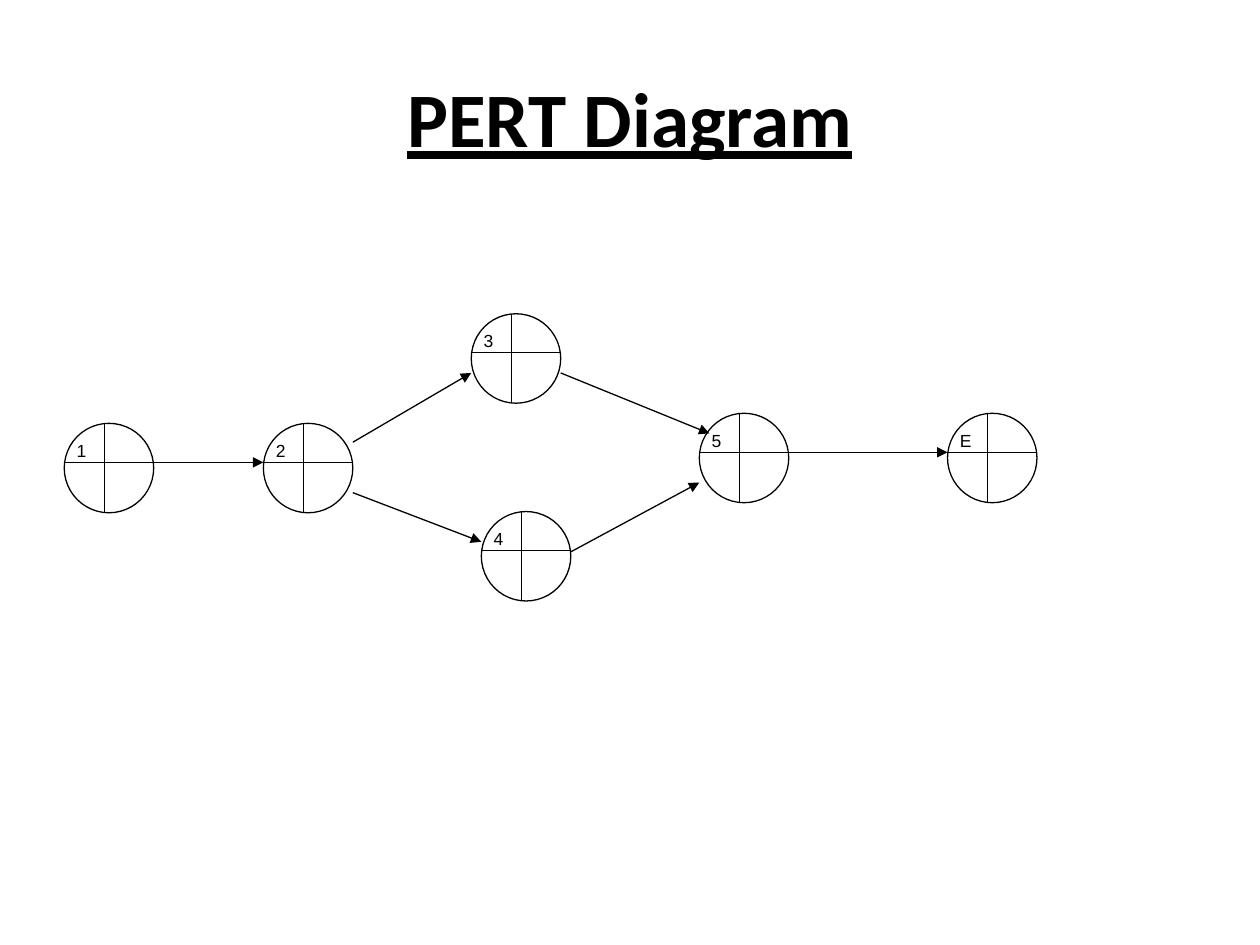
from typing import NamedTuple

from lxml.etree import SubElement
from pptx import Presentation
from pptx.dml.color import RGBColor
from pptx.enum.shapes import MSO_CONNECTOR, MSO_SHAPE
from pptx.enum.text import MSO_ANCHOR, MSO_AUTO_SIZE, PP_ALIGN
from pptx.oxml.ns import qn
from pptx.shapes.connector import Connector
from pptx.slide import Slide
from pptx.text.text import Font
from pptx.util import Emu, Pt

PX_PER_INCH = 100
BLACK = "000000"
LINE_WIDTH = Pt(0.75)
DIAMETER = 71
CROSS_X, CROSS_Y = 32, 31
LABEL_TOP, LABEL_WIDTH, LABEL_HEIGHT = 8, 32, 27


class Node(NamedTuple):
    label: str
    left: int
    top: int
    has_crossbar: bool = True


class Arrow(NamedTuple):
    start: tuple[int, int]
    end: tuple[int, int]


NODES = [
    Node("1", 51, 336, has_crossbar=False),  # the first arrow crosses it
    Node("2", 209, 336),
    Node("3", 374, 249),
    Node("4", 382, 406),
    Node("5", 555, 328),
    Node("E", 752, 328),
]
ARROWS = [
    Arrow((51, 367), (209, 367)),
    Arrow((280, 351), (374, 296)),
    Arrow((280, 391), (382, 430)),
    Arrow((445, 296), (563, 344)),
    Arrow((453, 438), (555, 383)),
    Arrow((626, 359), (752, 359)),
]


def px(length: int) -> Emu:
    return Emu(length * 914400 // PX_PER_INCH)


def color(hex_string: str) -> RGBColor:
    return RGBColor.from_string(hex_string)


def style_font(font: Font, name: str, size: int) -> None:
    font.name = name
    font.size = Pt(size)
    font.color.rgb = color(BLACK)


def add_line(slide: Slide, start: tuple[int, int], end: tuple[int, int]) -> Connector:
    line = slide.shapes.add_connector(
        MSO_CONNECTOR.STRAIGHT, *(px(value) for value in (*start, *end))
    )
    line.line.color.rgb = color(BLACK)
    line.line.width = LINE_WIDTH
    SubElement(line._element.spPr, qn("a:effectLst"))
    return line


def add_arrow(slide: Slide, arrow: Arrow) -> None:
    line = add_line(slide, arrow.start, arrow.end)
    SubElement(line.line._get_or_add_ln(), qn("a:tailEnd"), type="triangle")


def add_circle(slide: Slide, node: Node) -> None:
    circle = slide.shapes.add_shape(
        MSO_SHAPE.OVAL, px(node.left), px(node.top), px(DIAMETER), px(DIAMETER)
    )
    circle.shadow.inherit = False
    circle.fill.background()
    circle.line.color.rgb = color(BLACK)
    circle.line.width = LINE_WIDTH


def add_cross(slide: Slide, node: Node) -> None:
    x, y = node.left + CROSS_X, node.top + CROSS_Y
    if node.has_crossbar:
        add_line(slide, (node.left, y), (node.left + DIAMETER, y))
    add_line(slide, (x, node.top), (x, node.top + DIAMETER))


def add_label(slide: Slide, node: Node) -> None:
    box = slide.shapes.add_textbox(
        px(node.left), px(node.top + LABEL_TOP), px(LABEL_WIDTH), px(LABEL_HEIGHT)
    )
    text_frame = box.text_frame
    text_frame.word_wrap = True
    text_frame.auto_size = MSO_AUTO_SIZE.SHAPE_TO_FIT_TEXT
    text_frame.text = node.label
    style_font(text_frame.paragraphs[0].runs[0].font, "Arial", 10)


def add_title(slide: Slide, text: str) -> None:
    box = slide.shapes.add_textbox(px(50), px(30), px(900), px(125))
    text_frame = box.text_frame
    text_frame.word_wrap = True
    text_frame.vertical_anchor = MSO_ANCHOR.MIDDLE
    text_frame.text = text
    paragraph = text_frame.paragraphs[0]
    paragraph.alignment = PP_ALIGN.CENTER
    font = paragraph.runs[0].font
    style_font(font, "Calibri", 44)
    font.bold = True
    font.underline = True


def main() -> None:
    presentation = Presentation()
    presentation.slide_width, presentation.slide_height = px(1000), px(750)
    slide = presentation.slides.add_slide(presentation.slide_layouts[6])
    add_title(slide, "PERT Diagram")
    for node in NODES:
        add_circle(slide, node)
    for arrow in ARROWS:
        add_arrow(slide, arrow)
    for node in NODES:
        add_cross(slide, node)
    for node in NODES:
        add_label(slide, node)
    presentation.save("out.pptx")


if __name__ == "__main__":
    main()
